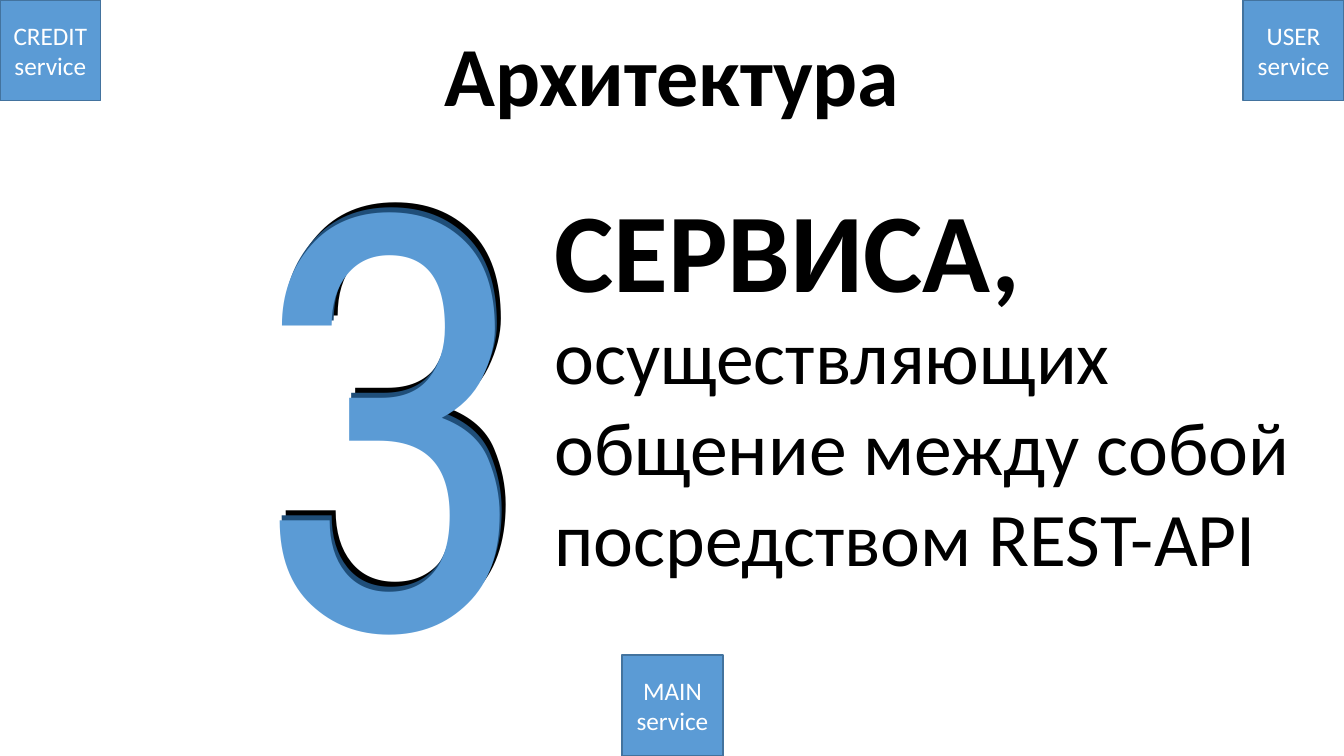
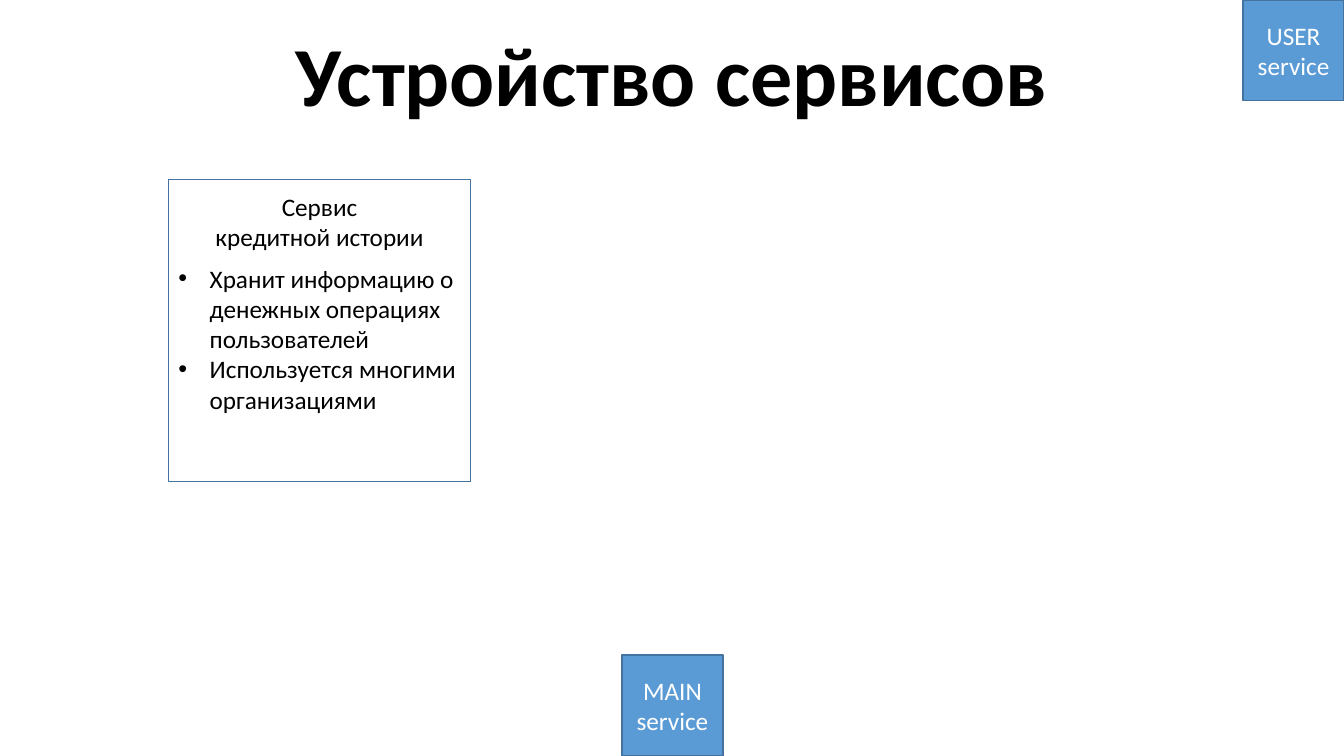
"""Two slides about the services of a system."""
from dataclasses import dataclass

import pptx
import pptx.dml.color
import pptx.enum.shapes
import pptx.enum.text
import pptx.shapes.autoshape
import pptx.shapes.shapetree
import pptx.slide
import pptx.text.text
import pptx.util

Inches = pptx.util.Inches
ALIGN = pptx.enum.text.PP_ALIGN
ANCHOR = pptx.enum.text.MSO_ANCHOR
FIT = pptx.enum.text.MSO_AUTO_SIZE
COLOURS = {
    "text": "000000",
    "paper": "FFFFFF",
    "accent": "5B9BD5",
    "outline": "43739E",
    "shade": "1F4E79",
}
BODY_FONT = "Calibri"
NUMERAL_FONT = "Roboto Condensed"
SLIDE_WIDTH, SLIDE_HEIGHT = 13.33, 7.5
TILE_SIDE = 1
BULLET_INDENT = 0.31
TITLE_ONLY, TITLE_AND_CONTENT = 5, 1


@dataclass(frozen=True)
class Area:
    """A rectangle on the slide, in inches."""
    left: float
    top: float
    width: float
    height: float

    def lengths(self) -> tuple:
        """Return left, top, width and height as lengths."""
        return tuple(map(Inches, (self.left, self.top, self.width, self.height)))


@dataclass(frozen=True)
class TextStyle:
    """How the text of one box looks."""
    size: float
    colour: str = "text"
    font: str = BODY_FONT
    bold: bool = False
    align: ALIGN = ALIGN.LEFT
    anchor: ANCHOR = ANCHOR.TOP
    wrap: bool = True


@dataclass(frozen=True)
class Service:
    """A service tile and its corner on the slide."""
    name: str
    left: float
    top: float


CREDIT = Service("CREDIT", 0, 0)
USER = Service("USER", SLIDE_WIDTH - TILE_SIDE, 0)
MAIN = Service("MAIN", 6.17, SLIDE_HEIGHT - TILE_SIDE)

TITLE_AREA = Area(1, 0.17, 11.33, 1.11)
TITLE_STYLE = TextStyle(60, bold=True, align=ALIGN.CENTER, anchor=ANCHOR.MIDDLE)
TILE_STYLE = TextStyle(18, "paper", align=ALIGN.CENTER, anchor=ANCHOR.MIDDLE)


def rgb(name: str) -> pptx.dml.color.RGBColor:
    """Look up a colour of the palette."""
    return pptx.dml.color.RGBColor.from_string(COLOURS[name])


def write(frame: pptx.text.text.TextFrame, text: str, style: TextStyle) -> None:
    """Put text in a frame, one paragraph a line, and format it."""
    frame.text = text
    frame.word_wrap = style.wrap
    frame.vertical_anchor = style.anchor
    for para in frame.paragraphs:
        para.alignment = style.align
        para.space_before = pptx.util.Pt(0)
        for span in para.runs:
            span.font.name = style.font
            span.font.size = pptx.util.Pt(style.size)
            span.font.bold = style.bold
            span.font.color.rgb = rgb(style.colour)


def fill_placeholder(box: pptx.shapes.autoshape.Shape, area: Area,
                     text: str, style: TextStyle) -> None:
    """Move a placeholder and write its text."""
    box.left, box.top, box.width, box.height = area.lengths()
    write(box.text_frame, text, style)
    box.text_frame.auto_size = FIT.SHAPE_TO_FIT_TEXT


def add_text(shapes: pptx.shapes.shapetree.SlideShapes, area: Area,
             text: str, style: TextStyle) -> pptx.shapes.autoshape.Shape:
    """Add a text box that grows with its text."""
    box = shapes.add_textbox(*area.lengths())
    write(box.text_frame, text, style)
    box.text_frame.auto_size = FIT.SHAPE_TO_FIT_TEXT
    return box


def add_rectangle(page: pptx.slide.Slide, area: Area,
                  fill: str) -> pptx.shapes.autoshape.Shape:
    """Add an outlined rectangle."""
    box = page.shapes.add_shape(
        pptx.enum.shapes.MSO_SHAPE.RECTANGLE, *area.lengths())
    box.shadow.inherit = False
    box.fill.solid()
    box.fill.fore_color.rgb = rgb(fill)
    box.line.color.rgb = rgb("outline")
    box.line.width = pptx.util.Pt(1)
    return box


def add_page(deck: pptx.presentation.Presentation, layout: int, title: str,
             services: tuple[Service, ...]) -> pptx.slide.Slide:
    """Add a slide with its title and service tiles."""
    page = deck.slides.add_slide(deck.slide_layouts[layout])
    fill_placeholder(page.shapes.title, TITLE_AREA, title, TITLE_STYLE)
    for service in services:
        area = Area(service.left, service.top, TILE_SIDE, TILE_SIDE)
        tile = add_rectangle(page, area, "accent")
        write(tile.text_frame, f"{service.name}\nservice", TILE_STYLE)
    return page


def build_architecture(deck: pptx.presentation.Presentation) -> None:
    """Build the slide that counts the services."""
    page = add_page(deck, TITLE_ONLY, "Архитектура", (CREDIT, USER, MAIN))
    numeral = page.shapes.add_group_shape()
    for left, top, colour in ((2.47, 0.33, "text"), (2.43, 0.38, "shade"),
                              (2.41, 0.43, "accent")):
        style = TextStyle(413, colour, NUMERAL_FONT,
                          anchor=ANCHOR.MIDDLE, wrap=False)
        add_text(numeral.shapes, Area(left, top, 2.88, 7.05), "3", style)
    add_text(page.shapes, Area(5.4, 1.74, 4.88, 1.45), "СЕРВИСА,",
             TextStyle(80, bold=True, wrap=False))
    add_text(page.shapes, Area(5.4, 3.02, 7.57, 2.83),
             "осуществляющих\nобщение между собой\nпосредством REST-API",
             TextStyle(54))


def build_services(deck: pptx.presentation.Presentation) -> None:
    """Build the slide with the credit history card."""
    page = add_page(deck, TITLE_AND_CONTENT, "Устройство сервисов", (USER, MAIN))
    add_rectangle(page, Area(1.67, 1.78, 3, 3), "paper")
    heading = add_text(page.shapes, Area(1.67, 1.85, 3, 0.71),
                       "Сервис\nкредитной истории",
                       TextStyle(18, align=ALIGN.CENTER))
    duties = page.placeholders[1]
    fill_placeholder(duties, Area(1.67, 2.56, 3, 1.62),
                     "Хранит информацию о денежных операциях пользователей\n"
                     "Используется многими организациями", TextStyle(18))
    for para in duties.text_frame.paragraphs:
        properties = para._p.get_or_add_pPr()
        properties.set("marL", str(Inches(BULLET_INDENT)))
        properties.set("indent", str(-Inches(BULLET_INDENT)))
    # The list has to lie in front of the filled card.
    heading.element.addnext(duties.element)


def main() -> None:
    """Build and save the deck."""
    deck = pptx.Presentation()
    deck.slide_width = Inches(SLIDE_WIDTH)
    deck.slide_height = Inches(SLIDE_HEIGHT)
    build_architecture(deck)
    build_services(deck)
    deck.save("out.pptx")


main()
